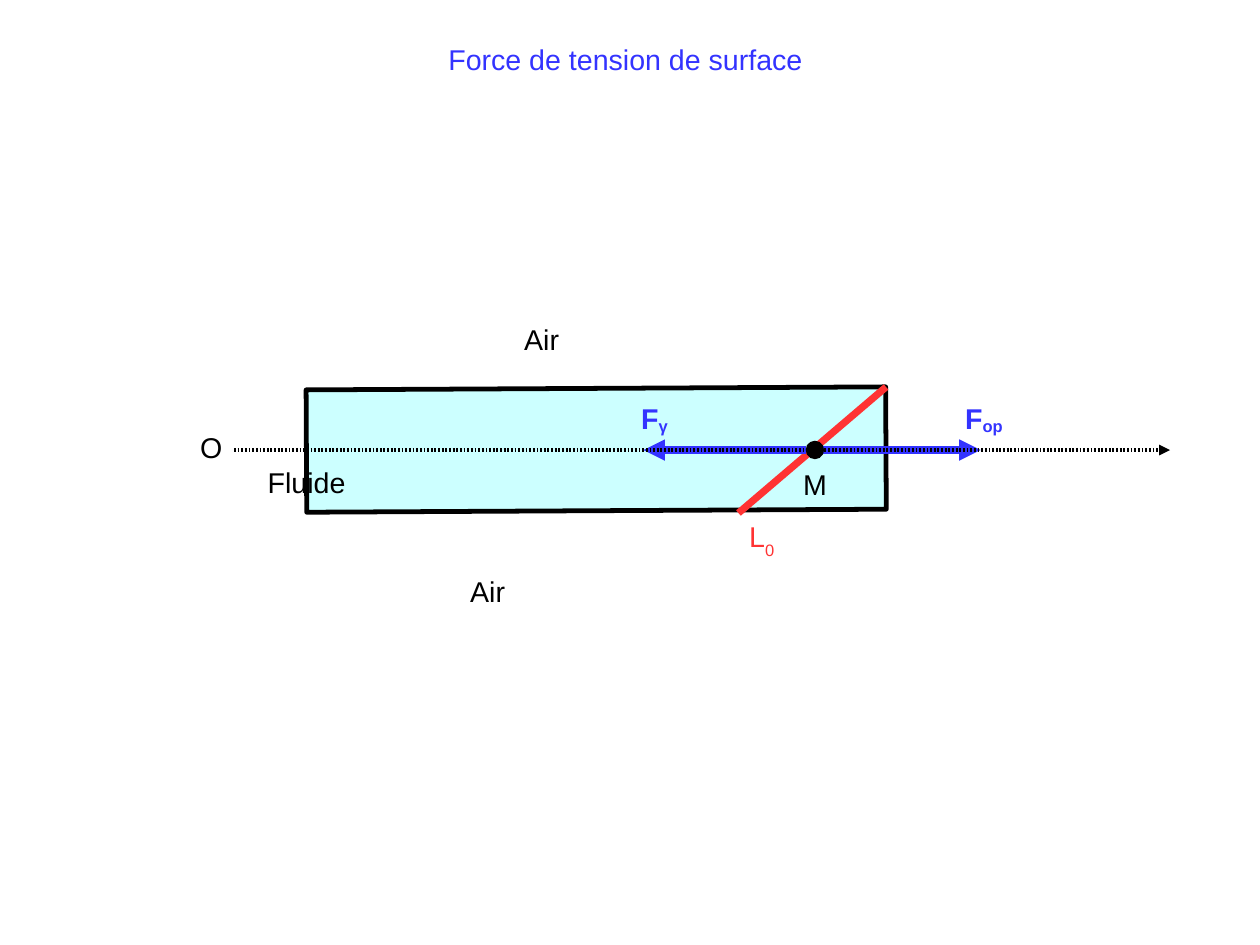
from dataclasses import dataclass

import pptx
import pptx.dml.color
import pptx.enum.shapes
import pptx.enum.text
import pptx.oxml.ns
import pptx.slide
import pptx.util
from lxml import etree

BLACK = pptx.dml.color.RGBColor(0x00, 0x00, 0x00)
BLUE = pptx.dml.color.RGBColor(0x33, 0x33, 0xFF)
RED = pptx.dml.color.RGBColor(0xFF, 0x33, 0x33)
PALE_CYAN = pptx.dml.color.RGBColor(0xCC, 0xFF, 0xFF)

# Slide grid: 28 columns by 21 rows, one centimetre each
COLUMNS, ROWS = 28, 21
SLIDE_WIDTH = pptx.util.Cm(COLUMNS)
SLIDE_HEIGHT = pptx.util.Cm(ROWS)
AXIS_ROW = 10
POINT_COLUMN = 18.11
POINT_SIZE = 0.41


@dataclass(frozen=True)
class Segment:
    start: tuple[float, float]
    end: tuple[float, float]
    color: pptx.dml.color.RGBColor
    weight: float
    arrow: bool = False
    dotted: bool = False


@dataclass(frozen=True)
class Label:
    text: str
    left: float
    top: float
    width: float
    height: float = 0.97
    color: pptx.dml.color.RGBColor = BLACK
    bold: bool = False
    subscript: str = ""
    drop: int = 0
    centered: bool = False


TENSION_LINE = Segment((19.69, 8.6), (16.41, 11.4), RED, 4.5)
OPERATOR_FORCE = Segment((18.21, AXIS_ROW), (21.79, AXIS_ROW), BLUE, 4.5, arrow=True)
SURFACE_FORCE = Segment((17.91, AXIS_ROW), (14.3, AXIS_ROW), BLUE, 4.5, arrow=True)
AXIS = Segment((5.2, AXIS_ROW), (26, AXIS_ROW), BLACK, 2.3, arrow=True, dotted=True)

LABELS = [
    Label("M", 17.6, 10.26, 0.8),
    Label("F", 21.2, 8.79, 1.4, 1.2, BLUE, bold=True, subscript="op", drop=-8),
    Label("F", 14, 8.79, 1.4, 1.2, BLUE, bold=True, subscript="γ", drop=-8),
    Label("O", 4.2, 9.43, 0.8),
    Label("Air", 11.4, 7.03, 1.4),
    Label("Air", 10.2, 12.63, 1.4),
    Label("Fluide", 5.7, 10.2, 2.3),
    Label("L", 16.4, 11.4, 1.2, 1.12, RED, subscript="0", drop=-33),
    Label("Force de tension de surface", 9.6, 0.8, 8.6, color=BLUE, centered=True),
]


def across(columns: float) -> int:
    return round(SLIDE_WIDTH * columns / COLUMNS)


def down(rows: float) -> int:
    return round(SLIDE_HEIGHT * rows / ROWS)


def add_filled_shape(slide: pptx.slide.Slide, kind: pptx.enum.shapes.MSO_SHAPE,
                     left: float, top: float, width: float, height: float,
                     fill: pptx.dml.color.RGBColor, outline: float = 0,
                     rotation: float = 0) -> None:
    shape = slide.shapes.add_shape(kind, across(left), down(top), across(width), down(height))
    shape.shadow.inherit = False
    shape.rotation = rotation
    shape.fill.solid()
    shape.fill.fore_color.rgb = fill
    if outline:
        shape.line.color.rgb = BLACK
        shape.line.width = pptx.util.Pt(outline)
    else:
        shape.line.fill.background()


def draw_segment(slide: pptx.slide.Slide, segment: Segment) -> None:
    connector = slide.shapes.add_connector(
        pptx.enum.shapes.MSO_CONNECTOR.STRAIGHT,
        across(segment.start[0]), down(segment.start[1]),
        across(segment.end[0]), down(segment.end[1]))
    connector.line.color.rgb = segment.color
    connector.line.width = pptx.util.Pt(segment.weight)
    qn = pptx.oxml.ns.qn
    properties = connector._element.spPr
    outline = properties.find(qn("a:ln"))
    if segment.dotted:
        dashes = etree.SubElement(outline, qn("a:custDash"))
        etree.SubElement(dashes, qn("a:ds"), d="50000", sp="50000")
    if segment.arrow:
        etree.SubElement(outline, qn("a:tailEnd"), type="triangle")
    etree.SubElement(properties, qn("a:effectLst"))


def add_run(paragraph, text: str, *, color: pptx.dml.color.RGBColor,
            bold: bool = False, drop: int = 0) -> None:
    run = paragraph.add_run()
    run.text = text
    run.font.name = "Arial"
    run.font.size = pptx.util.Pt(18)
    run.font.bold = bold
    run.font.color.rgb = color
    if drop:
        run._r.get_or_add_rPr().set("baseline", str(drop * 1000))


def draw_label(slide: pptx.slide.Slide, label: Label) -> None:
    box = slide.shapes.add_textbox(across(label.left), down(label.top),
                                   across(label.width), down(label.height))
    frame = box.text_frame
    frame.word_wrap = True
    frame.auto_size = pptx.enum.text.MSO_AUTO_SIZE.SHAPE_TO_FIT_TEXT
    paragraph = frame.paragraphs[0]
    if label.centered:
        paragraph.alignment = pptx.enum.text.PP_ALIGN.CENTER
    add_run(paragraph, label.text, color=label.color, bold=label.bold)
    if label.subscript:
        add_run(paragraph, label.subscript, color=label.color, bold=label.bold, drop=label.drop)


def main() -> None:
    presentation = pptx.Presentation()
    presentation.slide_width = SLIDE_WIDTH
    presentation.slide_height = SLIDE_HEIGHT
    slide = presentation.slides.add_slide(presentation.slide_layouts[6])

    # Fluid film
    add_filled_shape(slide, pptx.enum.shapes.MSO_SHAPE.RECTANGLE,
                     6.81, 8.63, 12.88, 2.72, PALE_CYAN, outline=3, rotation=-0.3)

    # Edge of the film and the two forces
    for segment in (TENSION_LINE, OPERATOR_FORCE, SURFACE_FORCE):
        draw_segment(slide, segment)

    # Point M, with the axis drawn over it
    add_filled_shape(slide, pptx.enum.shapes.MSO_SHAPE.OVAL,
                     POINT_COLUMN - POINT_SIZE / 2, AXIS_ROW - POINT_SIZE / 2,
                     POINT_SIZE, POINT_SIZE, BLACK)
    draw_segment(slide, AXIS)

    # Title and labels
    for label in LABELS:
        draw_label(slide, label)

    presentation.save("out.pptx")


if __name__ == "__main__":
    main()
